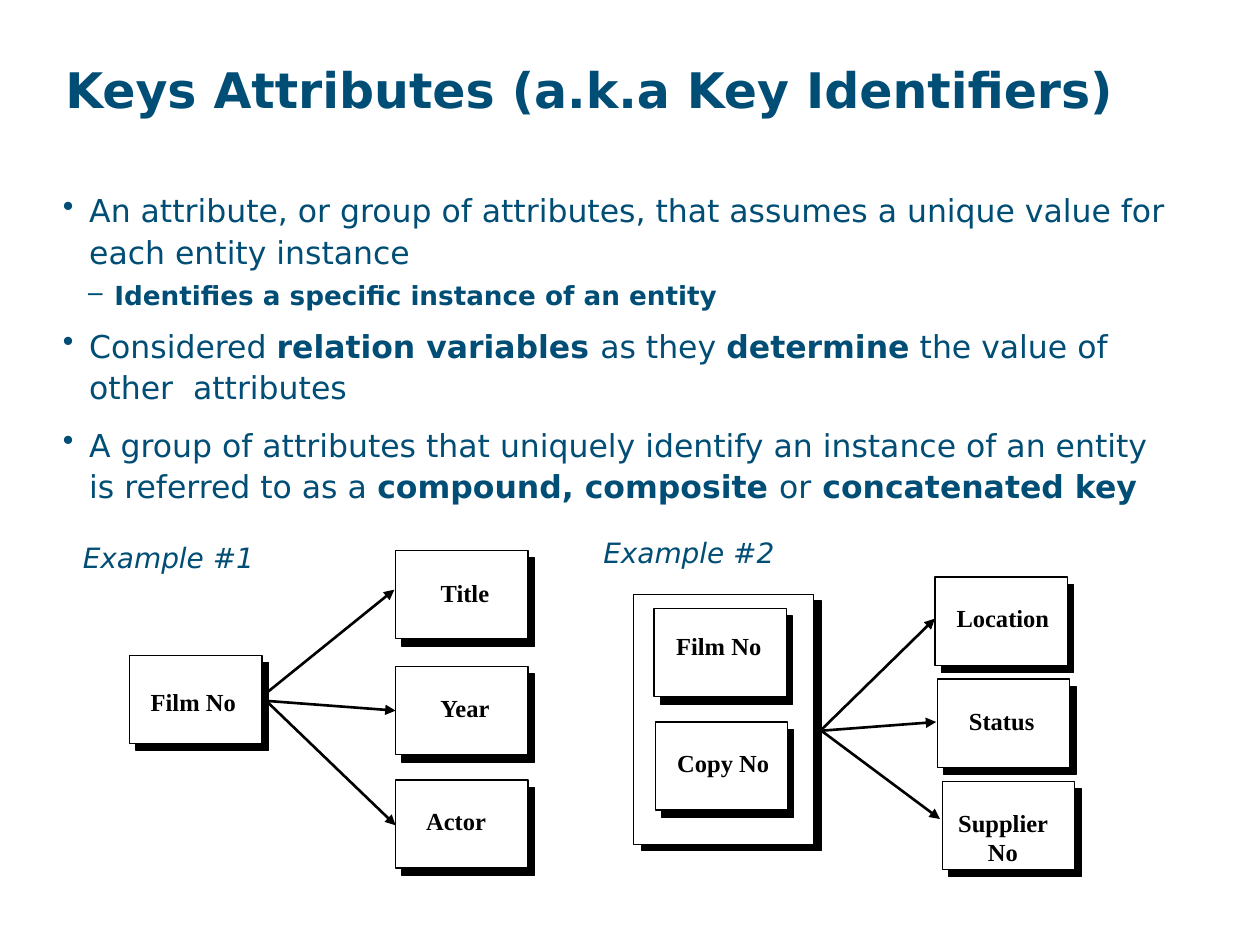
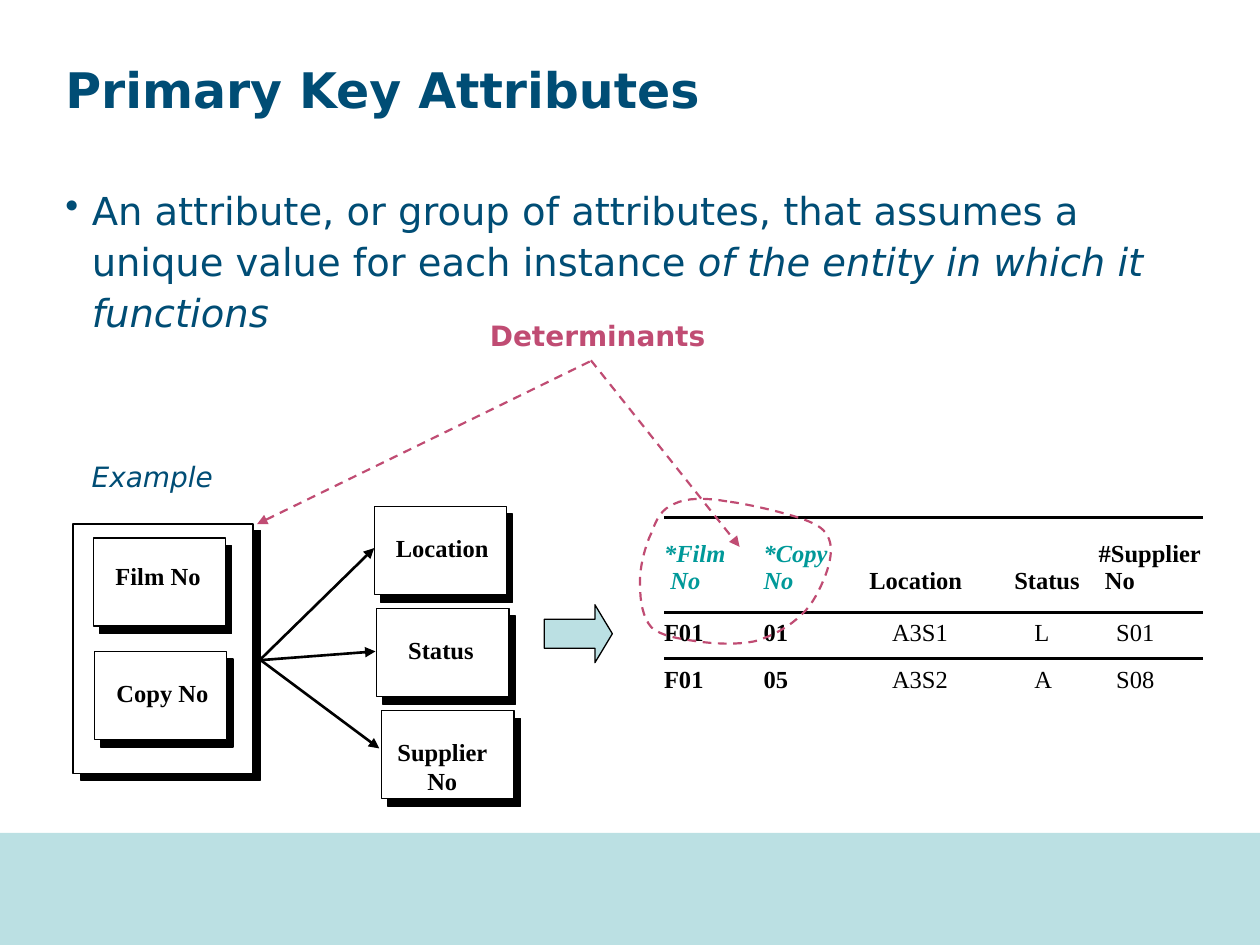
from dataclasses import dataclass, replace

import lxml.etree
import pptx
import pptx.dml.color
import pptx.enum.dml
import pptx.enum.shapes
import pptx.enum.text
import pptx.oxml.ns
import pptx.util

Inches = pptx.util.Inches
Pt = pptx.util.Pt
qn = pptx.oxml.ns.qn
SHAPE = pptx.enum.shapes.MSO_SHAPE
ALIGN = pptx.enum.text.PP_ALIGN
ANCHOR = pptx.enum.text.MSO_ANCHOR

NAVY, BLACK, WHITE = "004D75", "000000", "FFFFFF"
TEAL, ROSE, AQUA = "009999", "C04C73", "BBE0E3"
SANS, SERIF = "DejaVu Sans", "Times New Roman"
NO_TABLE_STYLE = "{2D5ABB26-0587-4C30-8999-92F81FD0307C}"


@dataclass(frozen=True)
class Style:
    size: float
    font: str = SANS
    color: str = NAVY
    bold: bool = False
    italic: bool = False


TITLE = Style(28, bold=True)
BODY = Style(18)
BODY_BOLD = replace(BODY, bold=True)
BODY_SUB = Style(15, bold=True)
BODY_LARGE = Style(22)
CAPTION = Style(16, italic=True)
CALLOUT = Style(16, color=ROSE, bold=True)
CELL = Style(14, SERIF, BLACK)
LABEL = replace(CELL, bold=True)
KEY = replace(LABEL, color=TEAL, italic=True)


@dataclass(frozen=True)
class Level:
    bullet: str
    margin: float
    spacing: float
    before: float
    after: float


LEVELS = (Level("•", 0.21, 1.1, 0.3, 0.2), Level("–", 0.41, 0.9, 0.2, 0.1))


@dataclass(frozen=True)
class Point:
    level: int
    runs: tuple[tuple[str, Style], ...]


@dataclass(frozen=True)
class Node:
    text: str
    x: float
    y: float
    label_x: float
    label_y: float
    label_w: float


@dataclass(frozen=True)
class Arrow:
    x1: float
    y1: float
    x2: float
    y2: float


@dataclass(frozen=True)
class Column:
    lines: tuple[str, ...]
    values: tuple[str, ...]
    width: float
    indent: float
    head: Style
    body: Style
    second_indent: float = 0


FILM_NODES = (
    Node("Film No", 1.03, 5.2, 1.02, 5.4, 1.03),
    Node("Title", 3.14, 4.37, 3.28, 4.54, 0.82),
    Node("Year", 3.14, 5.29, 3.28, 5.45, 0.82),
    Node("Actor", 3.14, 6.19, 3.1, 6.35, 1.04),
)
FILM_ARROWS = (
    Arrow(2.09, 5.52, 3.13, 4.68),
    Arrow(2.08, 5.56, 3.14, 5.64),
    Arrow(2.1, 5.55, 3.14, 6.55),
)
COPY_NODES = (
    Node("Film No", 0.16, 0.11, 0.18, 0.24, 0.99),
    Node("Copy No", 0.17, 1.01, 0.2, 1.17, 1.02),
    Node("Location", 2.39, -0.14, 2.43, 0.02, 1),
    Node("Status", 2.41, 0.67, 2.43, 0.83, 0.98),
    Node("Supplier No", 2.45, 1.48, 2.41, 1.64, 1.04),
)
COPY_ARROWS = (
    Arrow(1.47, 1.09, 2.39, 0.19),
    Arrow(1.48, 1.08, 2.4, 1.01),
    Arrow(1.49, 1.08, 2.43, 1.78),
)
DETERMINANT_ARROWS = (Arrow(4.68, 2.87, 2.04, 4.16), Arrow(4.69, 2.86, 5.87, 4.34))
COLUMNS = (
    Column(("*Film", "No"), ("F01", "F01"), 0.79, 0, KEY, LABEL, 0.05),
    Column(("*Copy", "No"), ("01", "05"), 0.84, 0, KEY, LABEL),
    Column(("Location",), ("A3S1", "A3S2"), 1.15, 0.18, LABEL, CELL),
    Column(("Status",), ("L", "A"), 0.67, 0.16, LABEL, CELL),
    Column(("#Supplier", "No"), ("S01", "S08"), 0.83, 0.14, LABEL, CELL, 0.05),
)
LOOP_START = (5.77, 3.98)
LOOP_CURVES = (
    ((5.6, 3.95), (5.45, 3.95), (5.35, 4)),
    ((5.25, 4.04), (5.21, 4.12), (5.17, 4.23)),
    ((5.12, 4.33), (5.07, 4.52), (5.08, 4.65)),
    ((5.08, 4.77), (5.1, 4.9), (5.17, 4.98)),
    ((5.25, 5.05), (5.39, 5.07), (5.53, 5.09)),
    ((5.66, 5.11), (5.85, 5.12), (5.99, 5.09)),
    ((6.13, 5.05), (6.27, 4.97), (6.36, 4.88)),
    ((6.45, 4.8), (6.51, 4.67), (6.55, 4.57)),
    ((6.59, 4.46), (6.61, 4.36), (6.58, 4.28)),
    ((6.55, 4.21), (6.51, 4.17), (6.37, 4.12)),
    ((6.23, 4.07), (5.94, 4), LOOP_START),
)


def rgb(value: str):
    return pptx.dml.color.RGBColor.from_string(value)


def add_run(p, text: str, style: Style) -> None:
    r = p.add_run()
    r.text = text
    r.font.size = Pt(style.size)
    r.font.name = style.font
    r.font.bold = style.bold
    r.font.italic = style.italic
    r.font.color.rgb = rgb(style.color)


def add_box(s, x: float, y: float, w: float, h: float):
    tf = s.shapes.add_textbox(Inches(x), Inches(y), Inches(w), Inches(h)).text_frame
    tf.word_wrap = True
    return tf


def add_text(s, text: str, x: float, y: float, w: float, h: float, style: Style, align=ALIGN.LEFT) -> None:
    p = add_box(s, x, y, w, h).paragraphs[0]
    p.alignment = align
    add_run(p, text, style)


def add_caption(s, text: str, x: float, y: float, style: Style = CAPTION) -> None:
    add_text(s, text, x, y, 2.33, 0.37, style)


def add_points(s, points: tuple[Point, ...], x: float, y: float, h: float) -> None:
    tf = add_box(s, x, y, 9.08, h)
    for i, point in enumerate(points):
        p = tf.add_paragraph() if i else tf.paragraphs[0]
        level = LEVELS[point.level]
        size = point.runs[0][1].size
        pPr = p._p.get_or_add_pPr()
        pPr.set("marL", str(Inches(level.margin)))
        pPr.set("indent", str(Inches(-0.21)))
        lxml.etree.SubElement(pPr, qn("a:buChar"), char=level.bullet)
        p.level = point.level
        p.line_spacing = level.spacing
        p.space_before = Pt(size * level.before if i else 0)
        p.space_after = Pt(size * level.after)
        for text, style in point.runs:
            add_run(p, text, style)


def add_shape(s, kind, x: float, y: float, w: float, h: float, fill: str, line: str | None = BLACK):
    sp = s.shapes.add_shape(kind, Inches(x), Inches(y), Inches(w), Inches(h))
    sp.shadow.inherit = False
    sp.fill.solid()
    sp.fill.fore_color.rgb = rgb(fill)
    if line:
        sp.line.color.rgb = rgb(line)
        sp.line.width = Pt(0.75)
    else:
        sp.line.fill.background()
    return sp


def add_raised(s, x: float, y: float, w: float, h: float, dx: float, dy: float) -> None:
    add_shape(s, SHAPE.RECTANGLE, x + dx, y + dy, w, h, BLACK)
    add_shape(s, SHAPE.RECTANGLE, x, y, w, h, WHITE)


def dash(line) -> None:
    line.color.rgb = rgb(ROSE)
    line.width = Pt(1.25)
    line.dash_style = pptx.enum.dml.MSO_LINE.DASH


def add_arrow(s, a: Arrow, x: float = 0, y: float = 0, dashed: bool = False) -> None:
    c = s.shapes.add_connector(
        pptx.enum.shapes.MSO_CONNECTOR.STRAIGHT,
        Inches(x + a.x1), Inches(y + a.y1), Inches(x + a.x2), Inches(y + a.y2),
    )
    if dashed:
        dash(c.line)
    else:
        c.line.color.rgb = rgb(BLACK)
        c.line.width = Pt(1.5)
    spPr = c.element.spPr
    lxml.etree.SubElement(spPr.find(qn("a:ln")), qn("a:tailEnd"), type="triangle")
    lxml.etree.SubElement(spPr, qn("a:effectLst"))


def add_diagram(s, nodes: tuple[Node, ...], arrows: tuple[Arrow, ...], x: float = 0, y: float = 0) -> None:
    for n in nodes:
        add_raised(s, x + n.x, y + n.y, 1.05, 0.7, 0.05, 0.06)
        add_text(s, n.text, x + n.label_x, y + n.label_y, n.label_w, 0.41, LABEL, ALIGN.CENTER)
    for a in arrows:
        add_arrow(s, a, x, y)


def add_copy_diagram(s, x: float, y: float) -> None:
    add_raised(s, x, y, 1.43, 1.98, 0.06, 0.05)
    add_diagram(s, COPY_NODES, COPY_ARROWS, x, y)


def add_border(cell, side: str) -> None:
    ln = lxml.etree.Element(qn(f"a:{side}"), w=str(Pt(2)))
    fill = lxml.etree.SubElement(ln, qn("a:solidFill"))
    lxml.etree.SubElement(fill, qn("a:srgbClr"), val=BLACK)
    cell._tc.get_or_add_tcPr().insert(0, ln)


def fill_cell(cell, lines: tuple[str, ...], style: Style, left: float, second_indent: float = 0) -> None:
    cell.fill.background()
    cell.margin_left, cell.margin_right = Inches(left), 0
    tf = cell.text_frame
    for i, text in enumerate(lines):
        p = tf.add_paragraph() if i else tf.paragraphs[0]
        if i:
            p._p.get_or_add_pPr().set("marL", str(Inches(second_indent)))
        add_run(p, text, style)


def add_copy_table(s) -> None:
    heights = (0.75, 0.37, 0.37)
    frame = s.shapes.add_table(
        len(heights), len(COLUMNS), Inches(5.27), Inches(4.11),
        Inches(sum(c.width for c in COLUMNS)), Inches(sum(heights)),
    )
    table = frame.table
    table.first_row = table.horz_banding = False
    table._tbl.tblPr.find(qn("a:tableStyleId")).text = NO_TABLE_STYLE
    for row, height in zip(table.rows, heights):
        row.height = Inches(height)
    for j, column in enumerate(COLUMNS):
        table.columns[j].width = Inches(column.width)
        head = table.cell(0, j)
        fill_cell(head, column.lines, column.head, 0, column.second_indent)
        head.vertical_anchor = ANCHOR.BOTTOM
        head.margin_top, head.margin_bottom = 0, Inches(0.14)
        for side in ("lnB", "lnT"):
            add_border(head, side)
        for i, value in enumerate(column.values, 1):
            cell = table.cell(i, j)
            fill_cell(cell, (value,), column.body, column.indent)
            cell.margin_top, cell.margin_bottom = Inches(0.06), 0
        add_border(table.cell(1, j), "lnT")


def add_loop(s, steps: int = 8) -> None:
    points = []
    start = LOOP_START
    for b, c, end in LOOP_CURVES:
        for t in (k / steps for k in range(1, steps + 1)):
            u = 1 - t
            points.append(tuple(
                Inches(u**3 * p0 + 3 * u * u * t * p1 + 3 * u * t * t * p2 + t**3 * p3)
                for p0, p1, p2, p3 in zip(start, b, c, end)
            ))
        start = end
    builder = s.shapes.build_freeform(*(Inches(v) for v in LOOP_START))
    builder.add_line_segments(points, close=True)
    sp = builder.convert_to_shape()
    sp.shadow.inherit = False
    sp.fill.background()
    dash(sp.line)


def add_slide(prs, title: str):
    s = prs.slides.add_slide(prs.slide_layouts[6])
    add_text(s, title, 0.42, 0.42, 9.08, 0.74, TITLE)
    return s


def build_key_attributes(prs) -> None:
    s = add_slide(prs, "Keys Attributes (a.k.a Key Identifiers)")
    add_points(s, (
        Point(0, (("An attribute, or group of attributes, that assumes a unique value for each entity instance", BODY),)),
        Point(1, (("Identifies a specific instance of an entity", BODY_SUB),)),
        Point(0, (("Considered ", BODY), ("relation variables ", BODY_BOLD), ("as they ", BODY),
                  ("determine", BODY_BOLD), (" the value of other  attributes", BODY))),
        Point(0, (("A group of attributes that uniquely identify an instance of an entity is referred to as a ", BODY),
                  ("compound, composite ", BODY_BOLD), ("or", BODY), (" concatenated key", BODY_BOLD))),
    ), 0.4, 1.44, 2.68)
    add_caption(s, "Example #1", 0.56, 4.24)
    add_caption(s, "Example #2", 4.69, 4.2)
    add_diagram(s, FILM_NODES, FILM_ARROWS)
    add_copy_diagram(s, 5.03, 4.72)


def build_primary_key(prs) -> None:
    s = add_slide(prs, "Primary Key Attributes")
    add_points(s, (
        Point(0, (("An attribute, or group of attributes, that assumes a unique value for each instance ", BODY_LARGE),
                  ("of the entity in which it functions", replace(BODY_LARGE, italic=True)))),
    ), 0.42, 1.4, 1.38)
    add_caption(s, "Example", 0.63, 3.6)
    add_copy_diagram(s, 0.58, 4.16)
    add_copy_table(s)
    sp = add_shape(s, SHAPE.RIGHT_ARROW, 4.32, 4.8, 0.54, 0.46, AQUA)
    sp.adjustments[1] = 0.3
    add_caption(s, "Determinants", 3.79, 2.48, CALLOUT)
    for a in DETERMINANT_ARROWS:
        add_arrow(s, a, dashed=True)
    add_loop(s)
    add_shape(s, SHAPE.RECTANGLE, 0, 6.61, 10, 0.89, AQUA, None)


def main() -> None:
    prs = pptx.Presentation()
    prs.slide_width, prs.slide_height = Inches(10), Inches(7.5)
    build_key_attributes(prs)
    build_primary_key(prs)
    prs.save("out.pptx")


if __name__ == "__main__":
    main()
